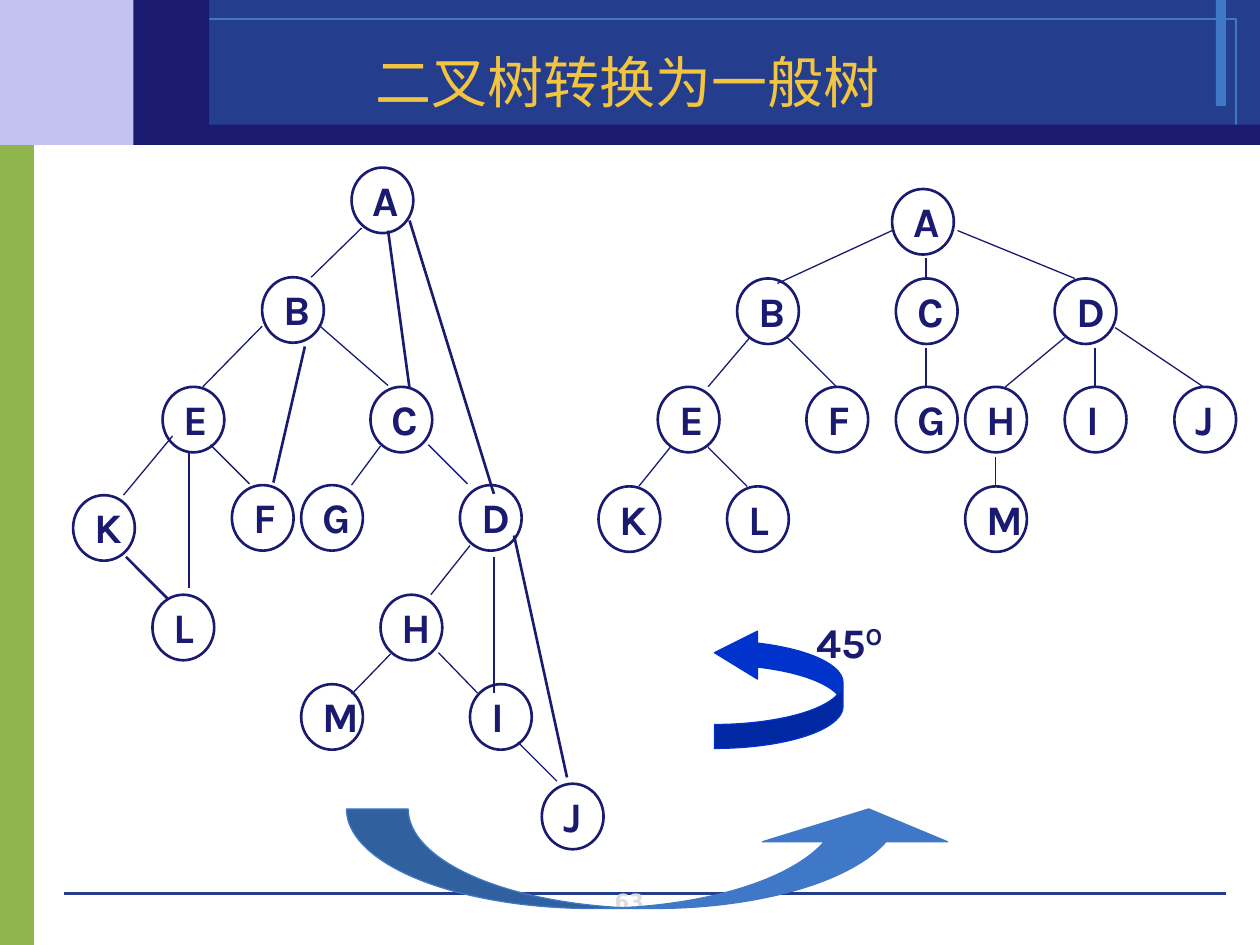
import dataclasses
import typing

import lxml.etree
import pptx
import pptx.dml.color
import pptx.enum.shapes
import pptx.enum.text
import pptx.oxml.ns
import pptx.util

Inches = pptx.util.Inches
Pt = pptx.util.Pt
SHAPE = pptx.enum.shapes.MSO_SHAPE
ALIGN = pptx.enum.text.PP_ALIGN
BOTTOM = pptx.enum.text.MSO_ANCHOR.BOTTOM
qn = pptx.oxml.ns.qn

NAVY, BLUE, SKY, ROYAL = "1A1A70", "243D8C", "3E78C6", "0033CC"
THIN, BOLD = 0.75, 1.5
NODE_WIDTH, NODE_HEIGHT = 0.49, 0.52
LABEL_FORMAT = {"name": "Karla", "size": Pt(24), "bold": True}


class Edge(typing.NamedTuple):
    x1: float
    y1: float
    x2: float
    y2: float
    width: float = THIN


@dataclasses.dataclass
class Tree:
    rows: dict[float, dict[str, float]]  # top of row -> label -> left of node
    edges: list[Edge]


BINARY_TREE = Tree(
    rows={
        1.33: {"A": 2.79},
        2.2: {"B": 2.08},
        3.07: {"E": 1.29, "C": 2.94},
        3.85: {"F": 1.84, "G": 2.39, "D": 3.65},
        3.93: {"K": 0.58},
        4.72: {"L": 1.21, "H": 3.02},
        5.43: {"M": 2.39, "I": 3.73},
        6.22: {"J": 4.3},
    },
    edges=[
        # Links of the binary tree
        Edge(2.87, 1.81, 2.47, 2.2), Edge(2.08, 2.59, 1.61, 3.07),
        Edge(1.37, 3.46, 0.98, 3.93), Edge(3.02, 3.54, 2.79, 3.85),
        Edge(3.73, 4.33, 3.42, 4.72), Edge(3.1, 5.19, 2.79, 5.51),
        Edge(1.67, 3.53, 1.98, 3.84), Edge(3.4, 3.53, 3.71, 3.84),
        Edge(2.53, 2.58, 3.08, 3.06), Edge(3.48, 5.18, 3.79, 5.5),
        Edge(4.11, 5.89, 4.42, 6.2), Edge(1, 4.42, 1.33, 4.75, BOLD),
        # Added links from parent to right-hand descendants
        Edge(2.42, 2.75, 2.17, 3.83, BOLD), Edge(3.08, 1.83, 3.25, 3.08, BOLD),
        Edge(3.25, 1.75, 3.92, 3.92, BOLD), Edge(1.5, 3.58, 1.5, 4.67, BOLD),
        Edge(3.92, 4.42, 3.92, 5.5, BOLD), Edge(4.08, 4.25, 4.5, 6.17, BOLD),
    ],
)

GENERAL_TREE = Tree(
    rows={
        1.5: {"A": 7.08},
        2.21: {"B": 5.85, "C": 7.11, "D": 8.37},
        3.07: {"E": 5.22, "F": 6.4, "G": 7.11, "H": 7.66, "I": 8.45, "J": 9.32},
        3.86: {"K": 4.75, "L": 5.77, "M": 7.66},
    },
    edges=[
        Edge(7.08, 1.83, 6.17, 2.25), Edge(7.35, 2.05, 7.35, 2.21),
        Edge(7.6, 1.83, 8.53, 2.21), Edge(5.95, 2.68, 5.62, 3.07),
        Edge(6.25, 2.68, 6.64, 3.07), Edge(7.35, 2.76, 7.35, 3.07),
        Edge(8.45, 2.68, 7.98, 3.07), Edge(8.69, 2.76, 8.69, 3.07),
        Edge(8.85, 2.6, 9.55, 3.07), Edge(5.32, 3.55, 5.07, 3.86),
        Edge(5.62, 3.55, 5.93, 3.86), Edge(7.9, 3.63, 7.9, 3.86),
    ],
)


def color(value: str) -> pptx.dml.color.RGBColor:
    return pptx.dml.color.RGBColor.from_string(value)


def add_shape(page, kind, left: float, top: float, width: float, height: float,
              fill: str | None = None, line: str | None = None,
              line_width: float = THIN):
    shape = page.shapes.add_shape(
        kind, Inches(left), Inches(top), Inches(width), Inches(height))
    shape.shadow.inherit = False
    if fill:
        shape.fill.solid()
        shape.fill.fore_color.rgb = color(fill)
    else:
        shape.fill.background()
    if line:
        shape.line.color.rgb = color(line)
        shape.line.width = Pt(line_width)
    else:
        shape.line.fill.background()
    return shape


def add_line(page, edge: Edge, line: str = NAVY) -> None:
    connector = page.shapes.add_connector(
        pptx.enum.shapes.MSO_CONNECTOR.STRAIGHT,
        Inches(edge.x1), Inches(edge.y1), Inches(edge.x2), Inches(edge.y2))
    connector.line.color.rgb = color(line)
    connector.line.width = Pt(edge.width)
    lxml.etree.SubElement(connector._element.spPr, qn("a:effectLst"))


def add_span(para, text: str, font_color: str, formats: dict):
    span = para.add_run()
    span.text = text
    span.font.color.rgb = color(font_color)
    for name, value in formats.items():
        setattr(span.font, name, value)
    return span


def add_box(page, left: float, top: float, width: float, height: float):
    box = page.shapes.add_textbox(
        Inches(left), Inches(top), Inches(width), Inches(height))
    box.text_frame.word_wrap = True
    return box.text_frame


def add_label(page, left: float, top: float, width: float, height: float,
              text: str, margin: float | None = None):
    frame = add_box(page, left, top, width, height)
    frame.auto_size = pptx.enum.text.MSO_AUTO_SIZE.SHAPE_TO_FIT_TEXT
    if margin is not None:
        for side in ("left", "top", "right", "bottom"):
            setattr(frame, f"margin_{side}", Inches(margin))
    para = frame.paragraphs[0]
    para.line_spacing = 0.8
    # Space before, as a share of the line
    before = lxml.etree.SubElement(para._p.get_or_add_pPr(), qn("a:spcBef"))
    lxml.etree.SubElement(before, qn("a:spcPct"), val="50000")
    add_span(para, text, NAVY, LABEL_FORMAT)
    return para


def draw_tree(page, tree: Tree) -> None:
    for edge in tree.edges:
        add_line(page, edge)
    for top, nodes in tree.rows.items():
        for label, left in nodes.items():
            add_shape(page, SHAPE.OVAL, left, top, NODE_WIDTH, NODE_HEIGHT,
                      line=NAVY, line_width=BOLD)
            add_label(page, left + 0.17, top + 0.13, 0.26, 0.32, label, margin=0)


def draw_frame(page) -> None:
    bars = [
        (0, 1.07, 0.27, 6.44, "90B54D"),
        (0, 0, 1.53, 1.15, "C3C3F1"),
        (1.53, 0, 8.47, 1.15, BLUE),
        (9.65, 0, 0.08, 0.84, SKY),
    ]
    for *place, fill in bars:
        add_shape(page, SHAPE.RECTANGLE, *place, fill=fill)
    add_shape(page, SHAPE.RECTANGLE, 1.19, 0.15, 8.62, 0.85, line=SKY, line_width=0)
    add_line(page, Edge(0.51, 7.09, 9.73, 7.09, 0), BLUE)
    for place in ((1.3, 0.99, 8.7, 0.16), (1.06, 0, 0.6, 1.15)):
        add_shape(page, SHAPE.RECTANGLE, *place, fill=NAVY)
    # Page number
    frame = add_box(page, 3.83, 7.05, 2.33, 0.25)
    frame.vertical_anchor = BOTTOM
    frame.paragraphs[0].alignment = ALIGN.CENTER
    add_span(frame.paragraphs[0], "63", "DDDDDD",
             {"name": "DejaVu Sans", "size": Pt(12), "bold": True})


def draw_title(page) -> None:
    title = page.shapes.title
    place = {"left": 2.08, "top": 0.21, "width": 5.81, "height": 0.75}
    for name, value in place.items():
        setattr(title, name, Inches(value))
    title.text_frame.vertical_anchor = BOTTOM
    para = title.text_frame.paragraphs[0]
    para.alignment = ALIGN.CENTER
    add_span(para, "二叉树转换为一般树", "F3C43F",
             {"name": "DejaVu Sans", "size": Pt(32), "bold": False})
    page.shapes._spTree.append(title._element)  # in front of the header bars


def draw_arrows(page) -> None:
    sweep = add_shape(page, SHAPE.CURVED_UP_ARROW, 2.75, 6.42, 4.88, 0.79, SKY, SKY)
    turn = add_shape(page, SHAPE.CURVED_LEFT_ARROW, 5.67, 4.99, 1.02, 0.95, ROYAL, ROYAL)
    turn._element.spPr.find(qn("a:xfrm")).set("flipV", "1")
    for arrow, values in ((sweep, (0.62, 1.86, 0.33)), (turn, (0.2, 0.4, 0.36))):
        for index, value in enumerate(values):
            arrow.adjustments[index] = value
    # Angle of the turn
    para = add_label(page, 6.38, 4.92, 0.87, 0.42, "45")
    degree = add_span(para, "O", NAVY, LABEL_FORMAT)
    degree.font._element.set("baseline", "30000")


def main() -> None:
    deck = pptx.Presentation()
    deck.slide_width, deck.slide_height = Inches(10), Inches(7.5)
    page = deck.slides.add_slide(deck.slide_layouts[5])
    draw_frame(page)
    draw_title(page)
    draw_arrows(page)
    for tree in (BINARY_TREE, GENERAL_TREE):
        draw_tree(page, tree)
    deck.save("out.pptx")


if __name__ == "__main__":
    main()
